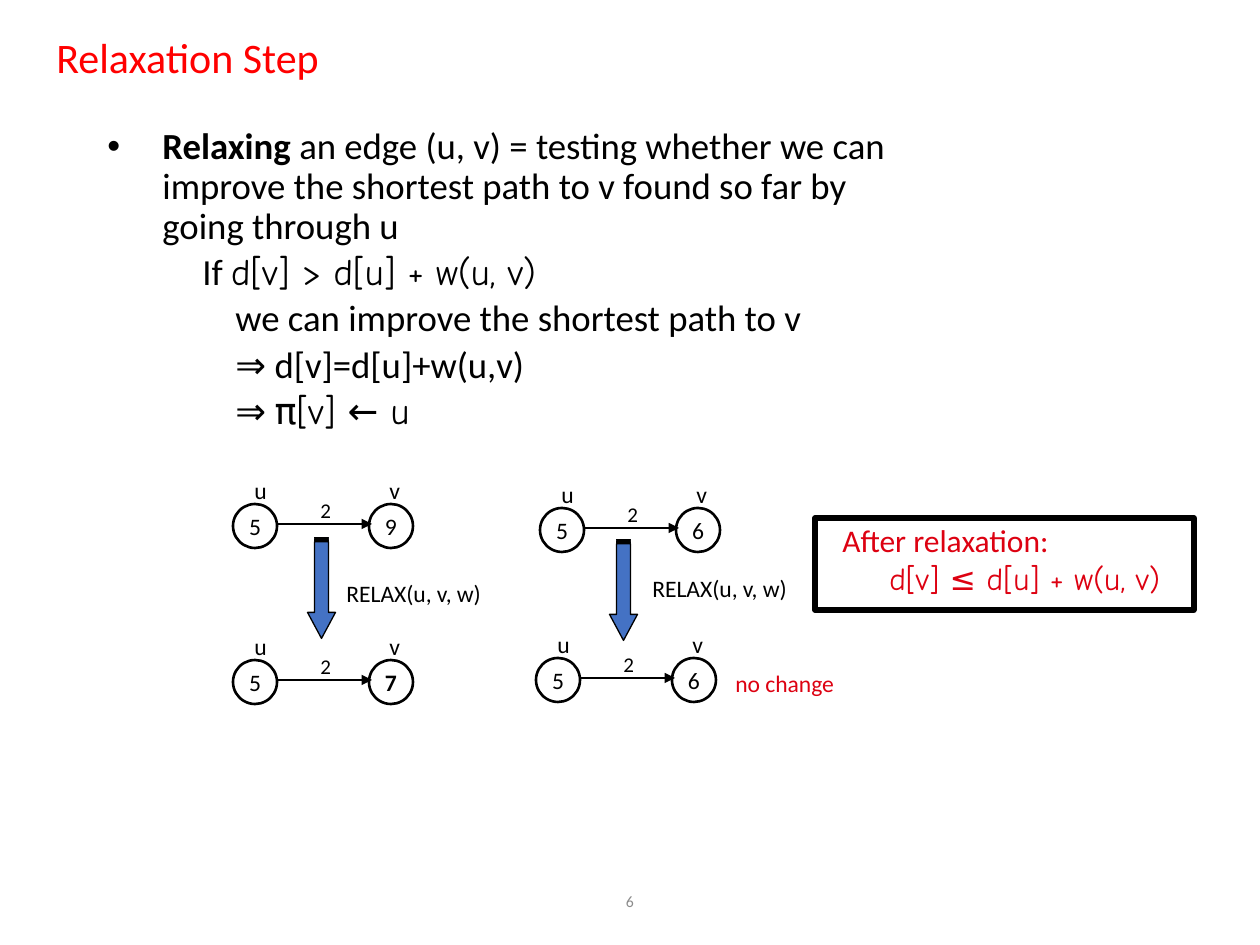
"""Build the slide that explains the relaxation step of shortest-path search."""
from lxml.etree import SubElement
from pptx import Presentation
from pptx.dml.color import RGBColor
from pptx.enum.shapes import MSO_CONNECTOR, MSO_SHAPE
from pptx.enum.text import MSO_ANCHOR, PP_ALIGN
from pptx.oxml.ns import qn
from pptx.util import Inches, Pt

PX = 914400 // 126
BLACK, RED, BLUE = "000000", "DD0111", "4472C4"
FORMULA = "Comic Neue"


def write(box, text, size=13.5, color=BLACK, font="Calibri", bold=False,
          align=PP_ALIGN.LEFT, anchor=MSO_ANCHOR.TOP, wrap=False, level=0,
          margin=0, hanging=0, line=1.0, before=0, join=False):
    frame = box.text_frame
    frame.word_wrap, frame.vertical_anchor = wrap, anchor
    para = frame.paragraphs[-1]
    if not join:
        if para.runs:
            para = frame.add_paragraph()
        para.alignment, para.level = align, level
        para.line_spacing, para.space_before = line, Pt(before)
        properties = para._p.get_or_add_pPr()
        properties.set("marL", str(margin * PX))
        properties.set("indent", str(-hanging * PX))
        if hanging:
            SubElement(properties, qn("a:buFont")).set("typeface", "Arial")
            SubElement(properties, qn("a:buChar")).set("char", "•")
    span = para.add_run()
    span.text = text
    span.font.size, span.font.name, span.font.bold = Pt(size), font, bold
    span.font.color.rgb = RGBColor.from_string(color)


def draw(shapes, kind, left, top, width, height, weight, fill=None):
    shape = shapes.add_shape(kind, left * PX, top * PX, width * PX, height * PX)
    shape.shadow.inherit = False
    shape.line.color.rgb = RGBColor.from_string(BLACK)
    shape.line.width = Pt(weight)
    if fill:
        shape.fill.solid()
        shape.fill.fore_color.rgb = RGBColor.from_string(fill)
    else:
        shape.fill.background()
    return shape


deck = Presentation()
deck.slide_width, deck.slide_height = Inches(10), Inches(7.5)
page = deck.slides.add_slide(deck.slide_layouts[6])

number = page.shapes.add_textbox(417 * PX, 876 * PX, 426 * PX, 50 * PX)
write(number, "6", size=9, color="8C8C8C", align=PP_ALIGN.CENTER,
      anchor=MSO_ANCHOR.MIDDLE, wrap=True)

title = page.shapes.add_textbox(44 * PX, 29 * PX, 1086 * PX, 62 * PX)
write(title, "Relaxation Step", size=24, color="FF0000",
      anchor=MSO_ANCHOR.MIDDLE, wrap=True, line=0.9)

body = page.shapes.add_textbox(95 * PX, 122 * PX, 850 * PX, 207 * PX)
body_style = dict(size=21, wrap=True)
step_style = dict(level=1, line=0.9, before=3.8, **body_style)
write(body, "Relaxing ", bold=True, margin=55, hanging=55, line=0.9, **body_style)
write(body, "an edge (u, v) = testing whether we can improve the shortest path "
      "to v found so far by going through u", join=True, **body_style)
write(body, "If ", margin=95, **step_style)
write(body, "d[v] > d[u] + w(u, v)", font=FORMULA, join=True, **body_style)
for step in ("we can improve the shortest path to v", "⇒ d[v]=d[u]+w(u,v)", "⇒ "):
    write(body, step, margin=128, **step_style)
write(body, "π[v] ← u", font=FORMULA, join=True, **body_style)

graphs = [
    (233, 504, "9", False),
    (233, 660, "7", True),
    (540, 508, "6", False),
    (536, 658, "6", False),
]
for left, top, distance, changed in graphs:
    graph = page.shapes.add_group_shape().shapes
    for offset, value, bold in ((0, "5", False), (136, distance, changed)):
        node = draw(graph, MSO_SHAPE.OVAL, left + offset, top, 44, 44, 1.5)
        write(node, value, bold=bold, align=PP_ALIGN.CENTER, anchor=MSO_ANCHOR.MIDDLE)
    edge = graph.add_connector(MSO_CONNECTOR.STRAIGHT, (left + 43) * PX, (top + 20) * PX,
                               (left + 139) * PX, (top + 20) * PX)
    edge.line.color.rgb = RGBColor.from_string(BLACK)
    edge.line.width = Pt(1.5)
    SubElement(edge.line._get_or_add_ln(), qn("a:tailEnd")).set("type", "triangle")
    SubElement(edge._element.spPr, qn("a:effectLst"))
    for label, right, down, size in (("2", 75, -13, 12), ("u", 9, -34, 13.5),
                                     ("v", 144, -34, 13.5)):
        box = graph.add_textbox((left + right) * PX, (top + down) * PX, 37 * PX, 40 * PX)
        write(box, label, size=size)

for left, top, label_left, label_top in ((271, 574, 334, 573), (573, 576, 640, 568)):
    arrow = draw(page.shapes, MSO_SHAPE.STRIPED_RIGHT_ARROW, left, top, 101, 28, 0.75, BLUE)
    arrow.rotation = 90
    arrow.adjustments[0], arrow.adjustments[1] = 0.5, 0.93
    call = page.shapes.add_textbox(label_left * PX, label_top * PX, 161 * PX, 42 * PX)
    write(call, "RELAX(u, v, w)")

result = page.shapes.add_textbox(830 * PX, 515 * PX, 364 * PX, 89 * PX)
write(result, "After relaxation:", size=18, color=RED, wrap=True)
write(result, "d[v] ≤ d[u] + w(u, v)", size=18, color=RED, font=FORMULA,
      wrap=True, level=1, margin=47)

remark = page.shapes.add_textbox(723 * PX, 663 * PX, 126 * PX, 42 * PX)
write(remark, "no change", color=RED)

draw(page.shapes, MSO_SHAPE.RECTANGLE, 815, 518, 379, 92, 3)

deck.save("out.pptx")
